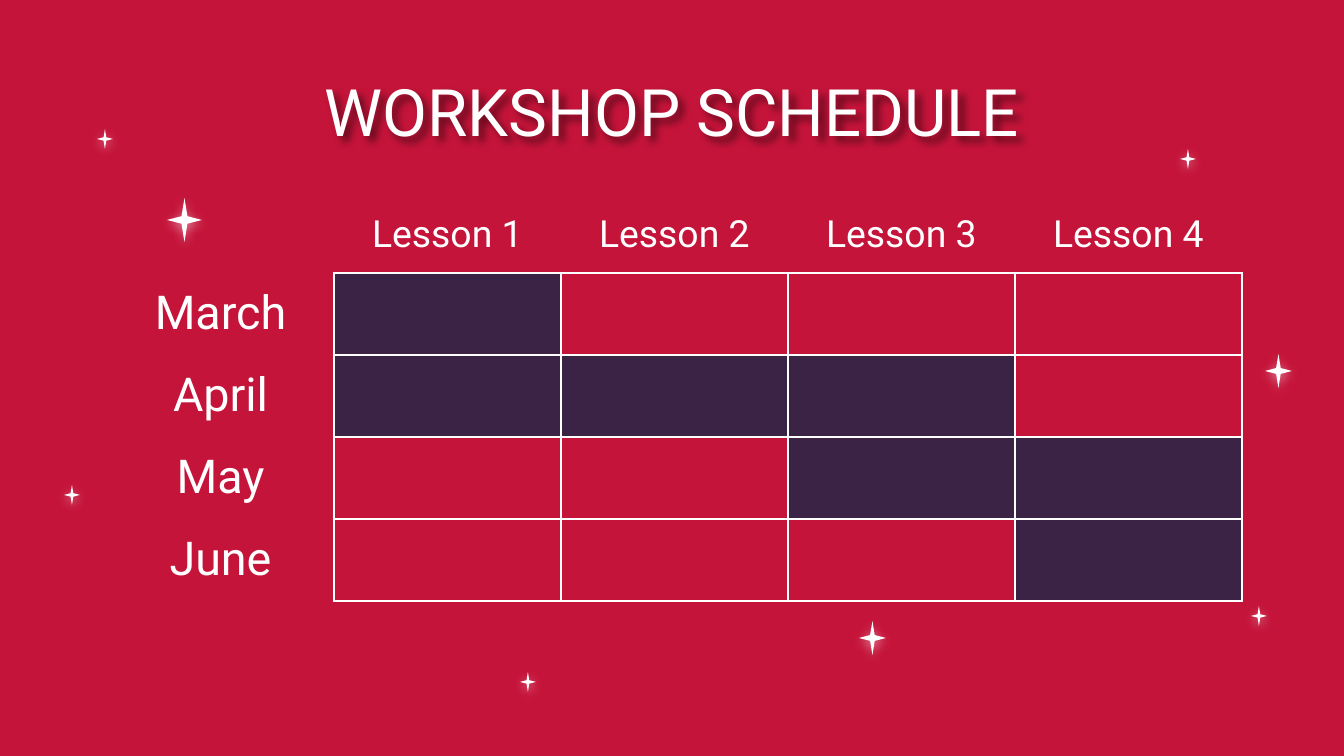
from dataclasses import dataclass

from lxml import etree
from pptx import Presentation
from pptx import util as u
from pptx.dml.color import RGBColor
from pptx.enum import shapes, text
from pptx.oxml.ns import qn

SLIDE_W, SLIDE_H = 1344, 756
EMU_PER_PX = 9144000 / SLIDE_W


@dataclass(frozen=True)
class Theme:
    background: str = "C5143A"
    light: str = "FFFFFF"
    booked: str = "3A2345"
    title_shadow: str = "000000"
    font: str = "Roboto"
    title_size: int = 35
    lesson_size: int = 20
    month_size: int = 25
    border: float = 1.5


@dataclass(frozen=True)
class Star:
    x: int
    y: int
    w: int = 16
    h: int = 20


@dataclass(frozen=True)
class Month:
    name: str
    booked: tuple[int, ...]


@dataclass(frozen=True)
class Shadow:
    color: str
    alpha: int
    blur: float
    distance: float
    angle: int


THEME = Theme()
STAR_SHADOW = Shadow(THEME.light, 50, 5.6, 1.5, 90)
TITLE_SHADOW = Shadow(THEME.title_shadow, 50, 4.5, 3, 45)
STARS = [
    Star(97, 129), Star(167, 198, 35, 44), Star(64, 485), Star(520, 672),
    Star(1180, 149), Star(1265, 354, 27, 34), Star(1251, 606),
    Star(859, 621, 27, 34),
]
LESSONS = ["Lesson 1", "Lesson 2", "Lesson 3", "Lesson 4"]
MONTHS = [
    Month("March", (1,)),
    Month("April", (1, 2, 3)),
    Month("May", (3, 4)),
    Month("June", (4,)),
]
TABLE_X, TABLE_Y = 107, 196
COL_W, HEADER_H, ROW_H = 227, 77, 81
INSET = 13


def px(n: int) -> u.Emu:
    return u.Emu(round(n * EMU_PER_PX))


def rgb(color: str) -> RGBColor:
    return RGBColor.from_string(color)


def add_shadow(sp, shadow: Shadow) -> None:
    effects = etree.SubElement(sp._element.spPr, qn("a:effectLst"))
    outer = etree.SubElement(
        effects, qn("a:outerShdw"), blurRad=str(u.Pt(shadow.blur)),
        dist=str(u.Pt(shadow.distance)), dir=str(shadow.angle * 60000),
        algn="bl", rotWithShape="0")
    color = etree.SubElement(outer, qn("a:srgbClr"), val=shadow.color)
    etree.SubElement(color, qn("a:alpha"), val=str(shadow.alpha * 1000))


def write(tf, content: str, size: int) -> None:
    p = tf.paragraphs[0]
    p.alignment = text.PP_ALIGN.CENTER
    r = p.add_run()
    r.text = content
    for name, value in {"name": THEME.font, "size": u.Pt(size)}.items():
        setattr(r.font, name, value)
    r.font.color.rgb = rgb(THEME.light)


def set_insets(target) -> None:
    for side in ("left", "right", "top", "bottom"):
        setattr(target, f"margin_{side}", px(INSET))


def set_borders(cell, sides: str) -> None:
    """Draw the sides named by letter (L, R, T, B) and hide the others."""
    tc_pr = cell._tc.get_or_add_tcPr()
    for side in "LRTB":
        ln = etree.SubElement(tc_pr, qn(f"a:ln{side}"), w=str(u.Pt(THEME.border)))
        if side in sides:
            fill = etree.SubElement(ln, qn("a:solidFill"))
            etree.SubElement(fill, qn("a:srgbClr"), val=THEME.light)
        else:
            etree.SubElement(ln, qn("a:noFill"))


def draw_star(s, star: Star) -> None:
    sp = s.shapes.add_shape(shapes.MSO_SHAPE.STAR_4_POINT,
                            *map(px, (star.x, star.y, star.w, star.h)))
    sp.adjustments[0] = 0.12
    sp.fill.solid()
    sp.fill.fore_color.rgb = rgb(THEME.light)
    sp.line.fill.background()
    add_shadow(sp, STAR_SHADOW)


def draw_title(s, content: str) -> None:
    sp = s.shapes.add_textbox(*map(px, (106, 78, 1133, 65)))
    tf = sp.text_frame
    tf.word_wrap = True
    tf.vertical_anchor = text.MSO_ANCHOR.MIDDLE
    set_insets(tf)
    write(tf, content, THEME.title_size)
    add_shadow(sp, TITLE_SHADOW)


def draw_cell(cell, borders: str, content: str = "", size: int = 0,
              fill: str = "") -> None:
    cell.vertical_anchor = text.MSO_ANCHOR.MIDDLE
    set_insets(cell)
    set_borders(cell, borders)
    if fill:
        cell.fill.solid()
        cell.fill.fore_color.rgb = rgb(fill)
    else:
        cell.fill.background()
    if content:
        write(cell.text_frame, content, size)


def draw_schedule(s) -> None:
    n_rows, n_cols = len(MONTHS) + 1, len(LESSONS) + 1
    frame = s.shapes.add_table(
        n_rows, n_cols, px(TABLE_X), px(TABLE_Y), px(COL_W * n_cols),
        px(HEADER_H + ROW_H * len(MONTHS)))
    table = frame.table
    table.first_row = table.horz_banding = False
    for column in table.columns:
        column.width = px(COL_W)
    for i, row in enumerate(table.rows):
        row.height = px(ROW_H if i else HEADER_H)

    draw_cell(table.cell(0, 0), "")
    for col, lesson in enumerate(LESSONS, 1):
        draw_cell(table.cell(0, col), "B", lesson, THEME.lesson_size)
    for row, month in enumerate(MONTHS, 1):
        draw_cell(table.cell(row, 0), "R", month.name, THEME.month_size)
        for col in range(1, n_cols):
            fill = THEME.booked if col in month.booked else ""
            draw_cell(table.cell(row, col), "LRTB", fill=fill)


def main() -> None:
    prs = Presentation()
    prs.slide_width, prs.slide_height = px(SLIDE_W), px(SLIDE_H)
    s = prs.slides.add_slide(prs.slide_layouts[6])
    s.background.fill.solid()
    s.background.fill.fore_color.rgb = rgb(THEME.background)
    for star in STARS:
        draw_star(s, star)
    draw_title(s, "WORKSHOP SCHEDULE")
    draw_schedule(s)
    prs.save("out.pptx")


if __name__ == "__main__":
    main()
